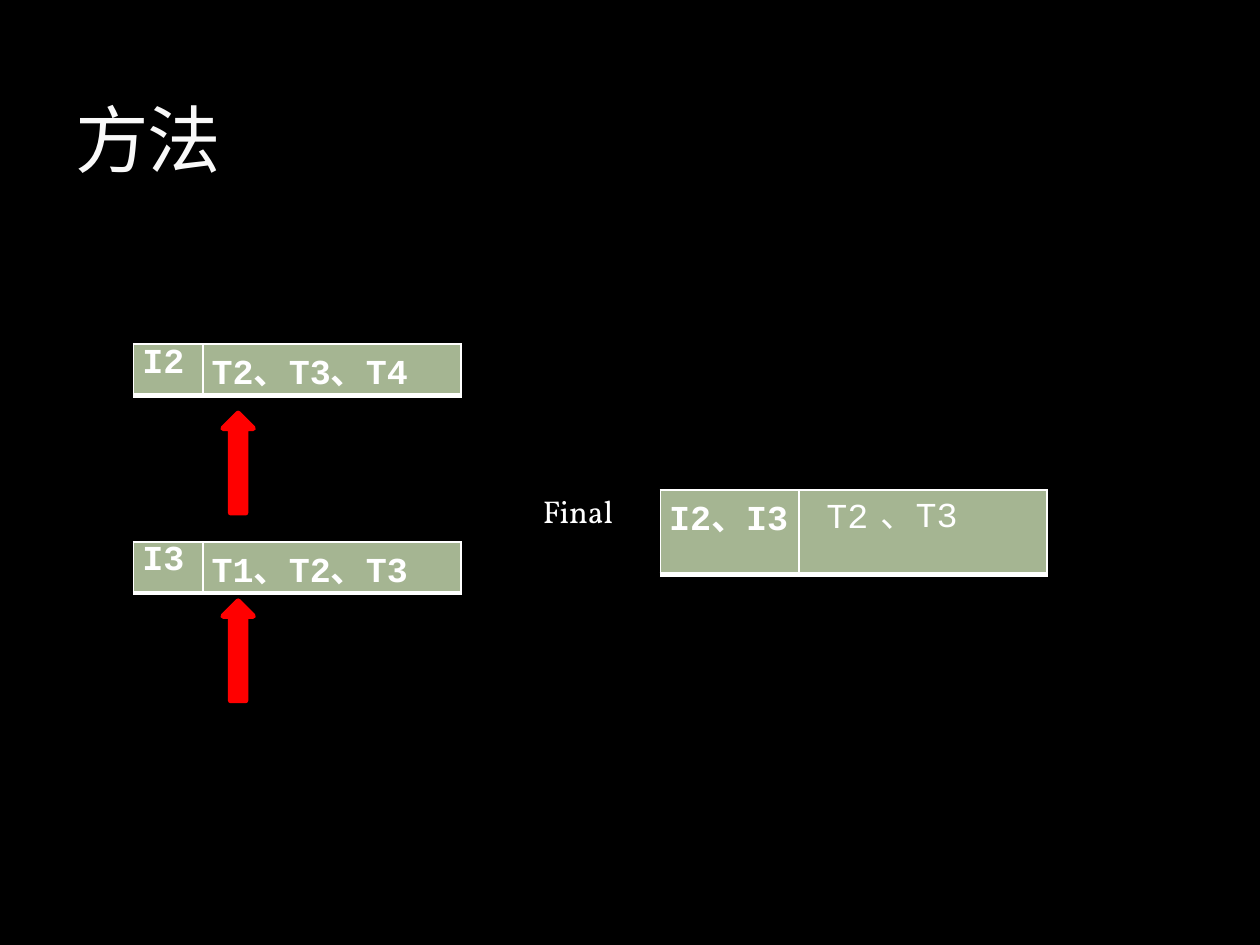
from lxml.etree import SubElement
from pptx import Presentation
from pptx.dml.color import RGBColor
from pptx.enum.shapes import MSO_SHAPE as Preset
from pptx.enum.text import MSO_ANCHOR as Anchor, PP_ALIGN as Align
from pptx.oxml import parse_xml
from pptx.oxml.ns import nsdecls, qn
from pptx.util import Inches, Pt

COLORS = {
    "background": "000000",
    "title": "F9F9F9",
    "outline": "3C4422",
    "text": "FFFFFF",
    "cell": "A5B592",
    "arrow": "FF0000",
}
SERIF, MONO = "Vollkorn", "Courier New"


def rgb(name):
    return RGBColor.from_string(COLORS[name])


class SlideBuilder:
    def __init__(self, slide):
        self.slide = slide
        background = slide.background.fill
        background.solid()
        background.fore_color.rgb = rgb("background")

    def style(self, frame, font, size, color="text", bold=False):
        for paragraph in frame.paragraphs:
            for run in paragraph.runs:
                run.font.name = font
                run.font.size = Pt(size)
                run.font.bold = bold
                run.font.color.rgb = rgb(color)

    def title(self, text, left, top, width, height):
        heading = self.slide.shapes.title
        heading.left, heading.top = Inches(left), Inches(top)
        heading.width, heading.height = Inches(width), Inches(height)
        frame = heading.text_frame
        frame.text = text
        frame.vertical_anchor = Anchor.BOTTOM
        frame.paragraphs[0].alignment = Align.LEFT
        self.style(frame, SERIF, 42, "title")
        properties = frame.paragraphs[0].runs[0].font._element
        properties.set("spc", "-100")
        properties.insert(0, parse_xml(
            f'<a:ln {nsdecls("a")} w="3175"><a:solidFill>'
            f'<a:srgbClr val="{COLORS["outline"]}"><a:alpha val="25000"/>'
            '</a:srgbClr></a:solidFill><a:prstDash val="solid"/></a:ln>'))

    def label(self, text, left, top, width, height, font, size):
        box = self.slide.shapes.add_textbox(
            Inches(left), Inches(top), Inches(width), Inches(height))
        box.text_frame.word_wrap = True
        box.text_frame.text = text
        self.style(box.text_frame, font, size)

    def arrow(self, left, top, width=0.24, height=0.79):
        pointer = self.slide.shapes.add_shape(
            Preset.UP_ARROW, Inches(left), Inches(top),
            Inches(width), Inches(height))
        pointer.shadow.inherit = False
        pointer.fill.solid()
        pointer.fill.fore_color.rgb = rgb("arrow")
        pointer.line.color.rgb = rgb("arrow")
        pointer.line.width = Pt(3)

    def borders(self, cell):
        properties = cell._tc.get_or_add_tcPr()
        for side, points in (("L", 1), ("R", 1), ("T", 1), ("B", 3)):
            line = SubElement(properties, qn(f"a:ln{side}"), w=str(Pt(points)))
            fill = SubElement(line, qn("a:solidFill"))
            SubElement(fill, qn("a:srgbClr"), val=COLORS["text"])

    def table(self, texts, left, top, widths, height=0.39):
        grid = self.slide.shapes.add_table(
            1, len(texts), Inches(left), Inches(top),
            Inches(sum(widths)), Inches(height)).table
        for column, width in zip(grid.columns, widths):
            column.width = Inches(width)
        for cell, text in zip(grid.rows[0].cells, texts):
            cell.margin_left = cell.margin_right = Inches(0.07)
            cell.margin_top = cell.margin_bottom = 0
            self.borders(cell)
            cell.fill.solid()
            cell.fill.fore_color.rgb = rgb("cell")
            if text:
                cell.text_frame.text = text
                self.style(cell.text_frame, MONO, 20, bold=True)


deck = Presentation()
deck.slide_width, deck.slide_height = Inches(10), Inches(7.5)
method = SlideBuilder(deck.slides.add_slide(deck.slide_layouts[5]))

method.title("方法", 0.5, 0.17, 9, 1.33)

for item, transactions, table_top, arrow_top in (
    ("I2", "T2、T3、T4", 2.73, 3.28),
    ("I3", "T1、T2、T3", 4.3, 4.77),
):
    method.table([item, transactions], 1.06, table_top, [0.55, 2.05])
    method.arrow(1.77, arrow_top)

method.label("Final", 4.21, 3.86, 0.79, 0.4, SERIF, 18)
method.table(["I2、I3", ""], 5.24, 3.89, [1.1, 1.97])
method.label("T2", 6.46, 3.87, 0.58, 0.44, MONO, 20)
method.label("、T3", 6.89, 3.86, 1.02, 0.44, MONO, 20)

deck.save("out.pptx")
